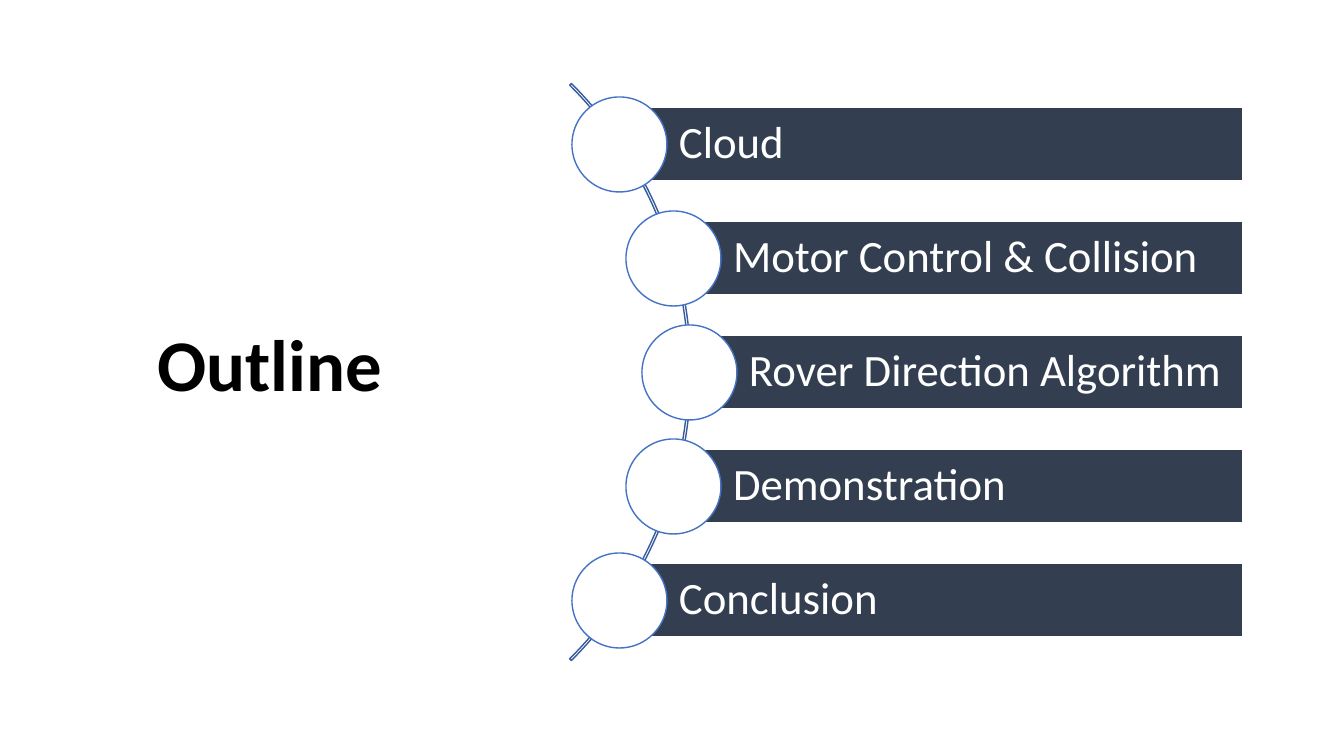
import math

import pptx
import pptx.dml.color
import pptx.enum.shapes
import pptx.enum.text
import pptx.util

SHAPE = pptx.enum.shapes.MSO_SHAPE
EMU_PER_PX = 914400 / 100.8
COLORS = {
    "white": "FFFFFF",
    "black": "000000",
    "bar": "333F50",
    "ring": "4472C4",
    "arc": "365B9D",
}


def px(length):
    return pptx.util.Emu(round(length * EMU_PER_PX))


def rgb(name):
    return pptx.dml.color.RGBColor.from_string(COLORS[name])


class OutlineSlide:
    font = "Calibri"

    def __init__(self, deck):
        self.slide = deck.slides.add_slide(deck.slide_layouts[6])

    def shape(self, preset, left, top, width, height, fill=None, line=None):
        item = self.slide.shapes.add_shape(
            preset, px(left), px(top), px(width), px(height))
        item.shadow.inherit = False
        if fill:
            item.fill.solid()
            item.fill.fore_color.rgb = rgb(fill)
        else:
            item.fill.background()
        if line:
            item.line.color.rgb = rgb(line)
            item.line.width = pptx.util.Pt(1)
        else:
            item.line.fill.background()
        return item

    def label(self, item, text, size, color, bold=False, inset=10):
        frame = item.text_frame
        frame.word_wrap = True
        frame.vertical_anchor = pptx.enum.text.MSO_ANCHOR.MIDDLE
        frame.margin_left = px(inset)
        frame.margin_right = frame.margin_top = frame.margin_bottom = px(9)
        paragraph = frame.paragraphs[0]
        paragraph.text = text
        paragraph.alignment = pptx.enum.text.PP_ALIGN.LEFT
        paragraph.line_spacing = 0.9
        paragraph.font.name = self.font
        paragraph.font.size = pptx.util.Pt(size)
        paragraph.font.bold = bold
        paragraph.font.color.rgb = rgb(color)

    def title(self, text):
        oval = self.shape(SHAPE.OVAL, 93, 61, 372, 614)
        self.label(oval, text, 52, "black", bold=True)

    def arc(self, center_x, center_y, radius):
        curve = self.shape(SHAPE.BLOCK_ARC, center_x - radius, center_y - radius,
                           2 * radius, 2 * radius, line="arc")
        # From 315 to 45 degrees, as a very thin band
        for index, value in enumerate((189, 27, 0.003)):
            curve.adjustments[index] = value

    def topic(self, text, x, y, right=1243, height=74, diameter=95):
        bar = self.shape(SHAPE.RECTANGLE, x, y - height // 2, right - x, height,
                         fill="bar", line="white")
        self.label(bar, text, 32, "white", inset=60)
        self.shape(SHAPE.OVAL, x - diameter // 2, y - diameter // 2,
                   diameter, diameter, fill="white", line="ring")


def main():
    deck = pptx.Presentation()
    deck.slide_width, deck.slide_height = px(1344), px(756)
    outline = OutlineSlide(deck)

    # Heading
    outline.title("Outline")

    # Arc that carries the topics
    center_x, center_y, radius = 283, 372, 408
    outline.arc(center_x, center_y, radius)

    # Topics, evenly stacked with their circles on the arc
    topics = ["Cloud", "Motor Control & Collision", "Rover Direction Algorithm",
              "Demonstration", "Conclusion"]
    pitch = 114
    for row, text in enumerate(topics):
        drop = (row - len(topics) // 2) * pitch
        reach = round(math.sqrt((radius - 2) ** 2 - drop ** 2))
        outline.topic(text, center_x + reach, center_y + drop)

    deck.save("out.pptx")


if __name__ == "__main__":
    main()
